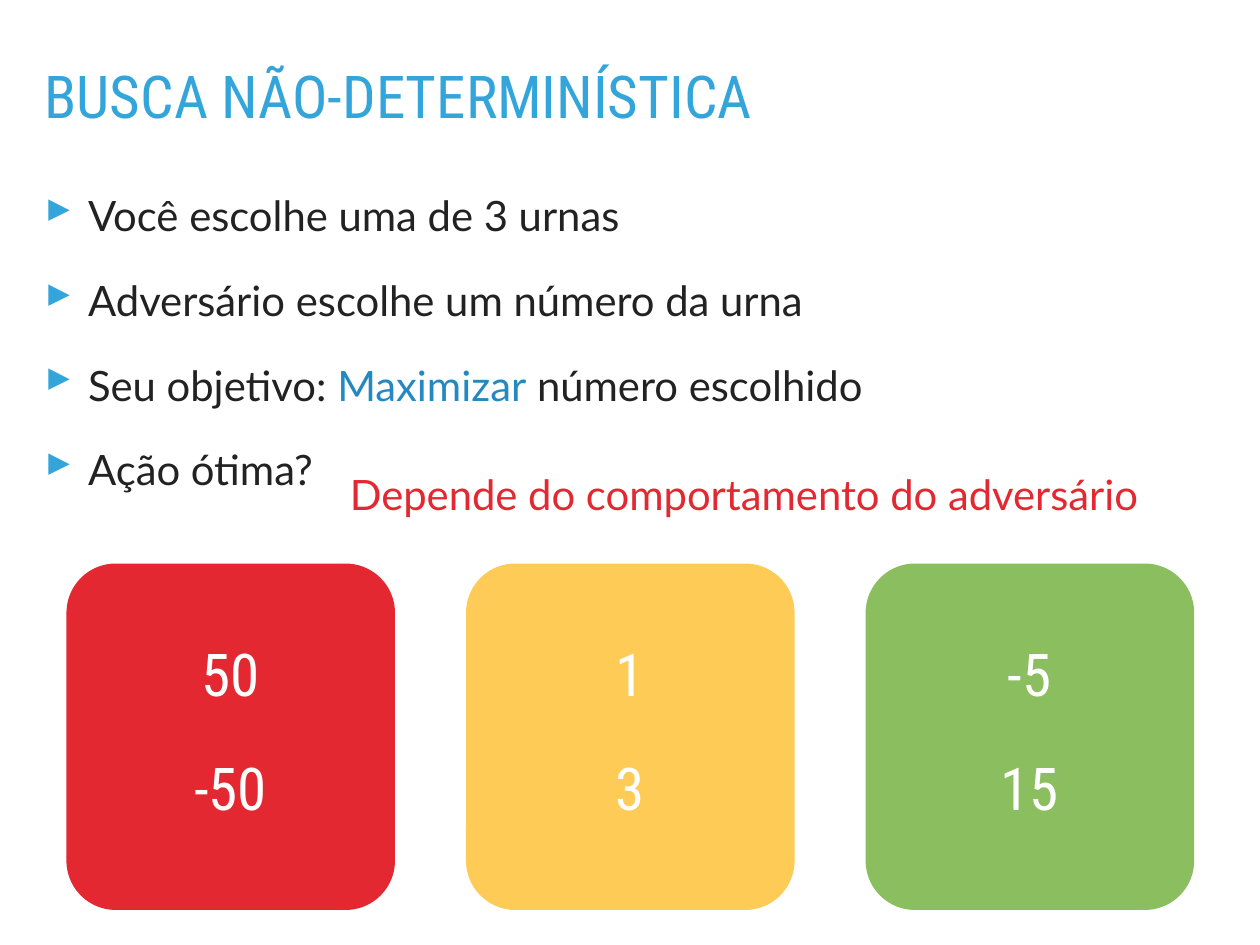
from dataclasses import dataclass

from lxml import etree
from pptx import Presentation
from pptx.dml.color import RGBColor
from pptx.enum.shapes import MSO_SHAPE
from pptx.enum.text import MSO_ANCHOR, PP_ALIGN
from pptx.oxml.ns import qn
from pptx.util import Pt

ROUND = MSO_SHAPE.ROUNDED_RECTANGLE
TOP, MIDDLE, BOTTOM = MSO_ANCHOR.TOP, MSO_ANCHOR.MIDDLE, MSO_ANCHOR.BOTTOM
LEFT, CENTER = PP_ALIGN.LEFT, PP_ALIGN.CENTER


@dataclass(frozen=True)
class Theme:
    sky: str = "34A5DA"
    blue: str = "2389C0"
    ink: str = "222222"
    red: str = "E42832"
    gold: str = "FDCB56"
    green: str = "8ABE5E"
    white: str = "FFFFFF"
    head: str = "Roboto Condensed"
    body: str = "Lato"
    big: int = 48
    mid: int = 34
    inset: float = 4.3


THEME = Theme()

POINTS = [
    [("Você escolhe uma de 3 urnas", THEME.ink)],
    [("Adversário escolhe um número da urna", THEME.ink)],
    [("Seu objetivo: ", THEME.ink), ("Maximizar", THEME.blue),
     (" número escolhido", THEME.ink)],
    [("Ação ótima?", THEME.ink)],
]
URNS = [
    (THEME.red, ("50", "-50")),
    (THEME.gold, ("1", "3")),
    (THEME.green, ("-5", "15")),
]


def set_frame(shape, anchor, wrap=True):
    frame = shape.text_frame
    frame.word_wrap = wrap
    frame.vertical_anchor = anchor
    frame.margin_left = frame.margin_right = Pt(THEME.inset)
    frame.margin_top = frame.margin_bottom = Pt(THEME.inset)
    return frame


def next_para(frame, index):
    return frame.paragraphs[0] if index == 0 else frame.add_paragraph()


def add_run(para, text, color, face, size):
    run = para.add_run()
    run.text = text
    run.font.name = face
    run.font.size = Pt(size)
    run.font.color.rgb = RGBColor.from_string(color)


def add_bullet(para, indent):
    props = para._p.get_or_add_pPr()
    props.set("marL", str(Pt(indent)))
    props.set("indent", str(-Pt(indent)))
    color = etree.SubElement(props, qn("a:buClr"))
    etree.SubElement(color, qn("a:srgbClr"), val=THEME.sky)
    etree.SubElement(props, qn("a:buSzPct"), val="105000")
    etree.SubElement(props, qn("a:buChar"), char="▸")


def add_title(slide, text, x, y, w, h):
    title = slide.shapes.title
    title.left, title.top, title.width, title.height = map(Pt, (x, y, w, h))
    para = set_frame(title, BOTTOM).paragraphs[0]
    para.alignment = LEFT
    para.line_spacing = 0.8
    para.space_before = Pt(0)
    add_run(para, text, THEME.sky, THEME.head, THEME.big)


def add_list(slide, points, x, y, w, h):
    box = slide.shapes.add_textbox(Pt(x), Pt(y), Pt(w), Pt(h))
    frame = set_frame(box, TOP)
    for i, parts in enumerate(points):
        para = next_para(frame, i)
        if i:
            para.space_before = Pt(28)
        add_bullet(para, 35.3)
        for text, color in parts:
            add_run(para, text, color, THEME.body, THEME.mid)


def add_answer(slide, text, x, y, w, h):
    box = slide.shapes.add_textbox(Pt(x), Pt(y), Pt(w), Pt(h))
    para = set_frame(box, MIDDLE, wrap=False).paragraphs[0]
    add_run(para, text, THEME.red, THEME.body, THEME.mid)


def add_urn(slide, fill, values, x, y, w, h):
    urn = slide.shapes.add_shape(ROUND, Pt(x), Pt(y), Pt(w), Pt(h))
    urn.adjustments[0] = 0.15
    urn.shadow.inherit = False
    urn.fill.solid()
    urn.fill.fore_color.rgb = RGBColor.from_string(fill)
    urn.line.fill.background()
    frame = set_frame(urn, MIDDLE)
    for i, value in enumerate(values):
        para = next_para(frame, i)
        para.alignment = CENTER
        para.line_spacing = 0.8
        if i:
            para.space_before = Pt(47)
        add_run(para, value, THEME.white, THEME.head, THEME.big)


def add_urns(slide, urns, x, y, w, h, gap):
    wide = (w - gap * (len(urns) - 1)) / len(urns)
    for i, (fill, values) in enumerate(urns):
        add_urn(slide, fill, values, x + i * (wide + gap), y, wide, h)


def main():
    deck = Presentation()
    deck.slide_width, deck.slide_height = Pt(1024), Pt(768)
    slide = deck.slides.add_slide(deck.slide_layouts[5])

    # Heading and rules of the game
    add_title(slide, "BUSCA NÃO-DETERMINÍSTICA", 32, 53, 960, 57)
    add_list(slide, POINTS, 32, 150, 960, 300)

    # Three urns, each with its two numbers
    add_urns(slide, URNS, 54, 458, 916.5, 281.5, 57.75)

    # Answer beside the last point
    add_answer(slide, "Depende do comportamento do adversário",
               280, 374, 692, 54)

    deck.save("out.pptx")


if __name__ == "__main__":
    main()
